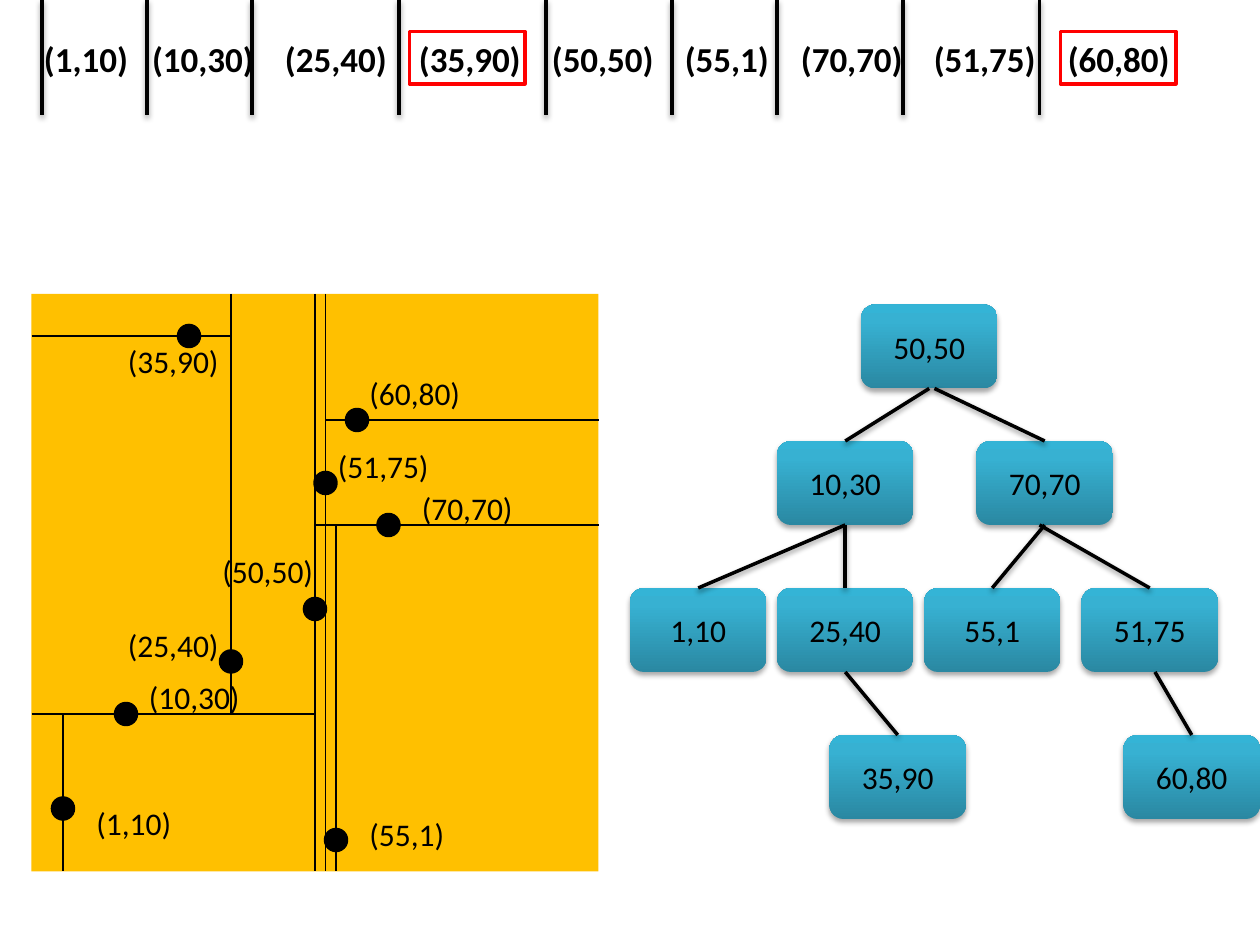
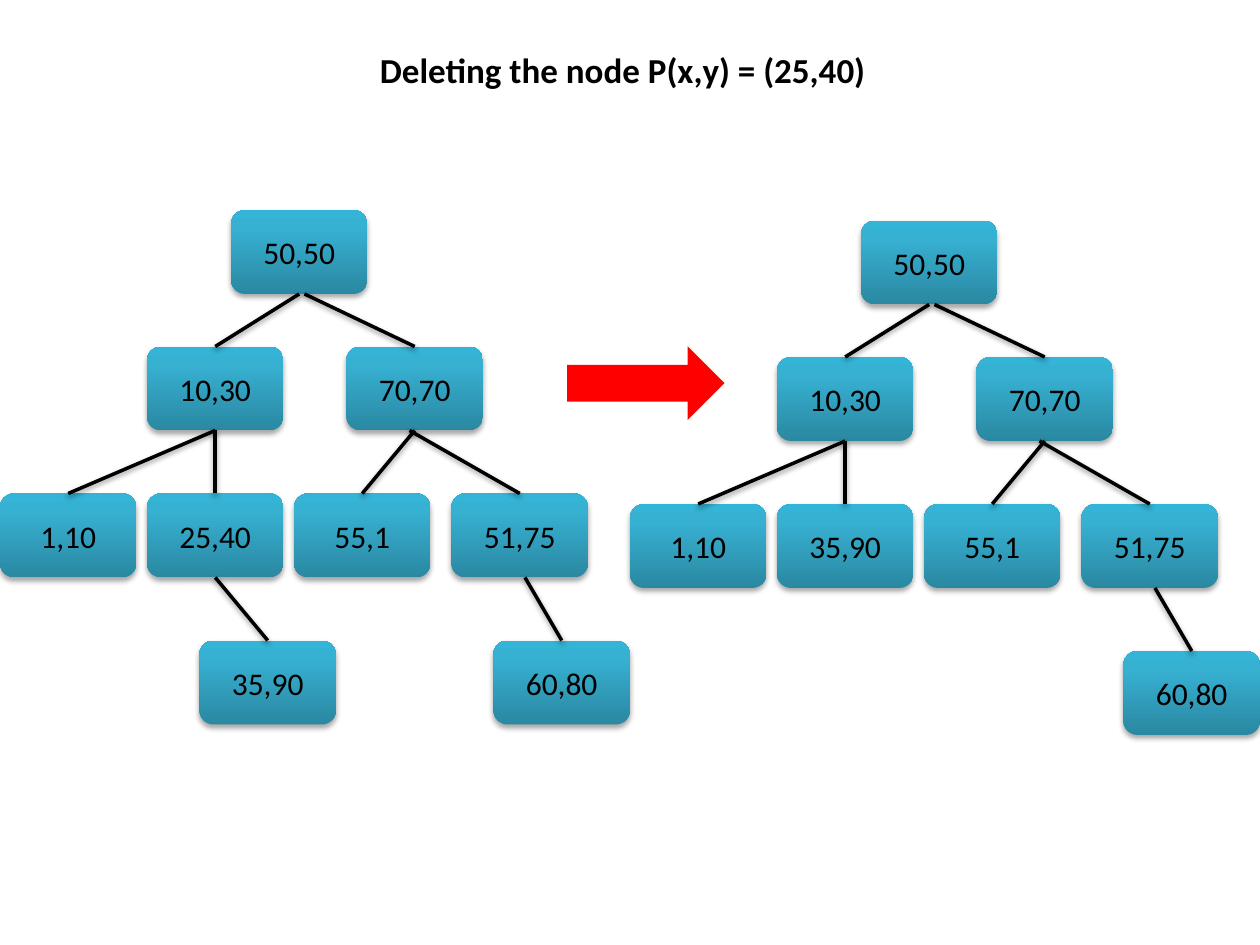
from lxml import etree
from pptx import Presentation
from pptx.dml.color import RGBColor
from pptx.enum.shapes import MSO_CONNECTOR, MSO_SHAPE
from pptx.enum.text import MSO_ANCHOR, MSO_AUTO_SIZE, PP_ALIGN
from pptx.oxml import parse_xml
from pptx.oxml.ns import nsdecls, qn
from pptx.util import Cm, Pt

RECT, ROUND_RECT = MSO_SHAPE.RECTANGLE, MSO_SHAPE.ROUNDED_RECTANGLE
OVAL, RIGHT_ARROW = MSO_SHAPE.OVAL, MSO_SHAPE.RIGHT_ARROW
STRAIGHT = MSO_CONNECTOR.STRAIGHT
MIDDLE, CENTER = MSO_ANCHOR.MIDDLE, PP_ALIGN.CENTER
FIT_SHAPE = MSO_AUTO_SIZE.SHAPE_TO_FIT_TEXT
BOTTOM_SIDE, TOP_SIDE = 2, 0

COLORS = {
    "ink": "000000", "accent": "FF0000", "map": "FFC000",
    "node_dark": "2A88A2", "node_mid": "37B1D2", "node_light": "34B4D6",
}
FONTS = {
    "heading": {"name": "Calibri", "size": Pt(20), "bold": True},
    "label": {"name": "Calibri", "size": Pt(18), "bold": False},
}

# Everything sits on a grid of 120 x 90 cells
CELL_CM = 2.54 / 12

# Point: dot centre, label corner, direction and extent of its split line,
# all in cells from the corner of the map
POINTS = {
    "50,50": ((27, 30), (17, 24), "vertical", (0, 55)),
    "10,30": ((9, 40), (10, 36), "horizontal", (0, 27)),
    "70,70": ((34, 22), (36, 18), "horizontal", (27, 54)),
    "1,10": ((3, 49), (5, 48), "vertical", (40, 55)),
    "55,1": ((29, 52), (31, 49), "vertical", (22, 55)),
    "25,40": ((19, 35), (8, 31), "vertical", (0, 40)),
    "51,75": ((28, 18), (28, 14), "vertical", (0, 55)),
    "35,90": ((15, 4), (8, 4), "horizontal", (0, 19)),
    "60,80": ((31, 12), (31, 7), "horizontal", (28, 54)),
}
SORTED_POINTS = ["1,10", "10,30", "25,40", "35,90", "50,50",
                 "55,1", "70,70", "51,75", "60,80"]
POINT_TABS_CM = [2.18, 4.86, 7.56, 10.24, 12.92, 15.26, 17.94, 20.64]
DIVIDERS = [4, 14, 24, 38, 52, 64, 74, 86, 99]

# Tree places in cells from its corner; L and R are the turns from the root
NODE_W, NODE_H = 13, 8
TREE_PLACES = {
    "root": (22, 0), "L": (14, 13), "R": (33, 13),
    "LL": (0, 27), "LR": (14, 27), "RL": (28, 27), "RR": (43, 27),
    "LRR": (19, 41), "RRR": (47, 41),
}
# Parent, child, sideways shift of the start in cells
TREE_EDGES = [
    ("root", "L", 0), ("root", "R", 0.5), ("L", "LL", 0), ("L", "LR", 0),
    ("R", "RL", 0), ("R", "RR", -0.5), ("LR", "LRR", 0), ("RR", "RRR", 0.5),
]
FULL_TREE = {
    "root": "50,50", "L": "10,30", "R": "70,70", "LL": "1,10", "LR": "25,40",
    "RL": "55,1", "RR": "51,75", "LRR": "35,90", "RRR": "60,80",
}
REDUCED_TREE = {place: point for place, point in FULL_TREE.items() if place != "LRR"}
REDUCED_TREE["LR"] = FULL_TREE["LRR"]


def cells(*counts):
    return [Cm(count * CELL_CM) for count in counts]


def color(key):
    return RGBColor.from_string(COLORS[key])


def write(paragraph, text, style):
    run = paragraph.add_run()
    run.text = text
    for attribute, value in FONTS[style].items():
        setattr(run.font, attribute, value)
    run.font.color.rgb = color("ink")


def add_text(slide, box, text, style, tabs_cm=()):
    frame = slide.shapes.add_textbox(*cells(*box)).text_frame
    for attribute, value in {"word_wrap": True, "auto_size": FIT_SHAPE}.items():
        setattr(frame, attribute, value)
    paragraph = frame.paragraphs[0]
    if tabs_cm:
        stops = etree.SubElement(paragraph._p.get_or_add_pPr(), qn("a:tabLst"))
        for stop_cm in tabs_cm:
            etree.SubElement(stops, qn("a:tab"), pos=str(Cm(stop_cm)), algn="l")
    write(paragraph, text, style)


def add_shadow(effects, alpha, distance):
    effects.append(parse_xml(
        f'<a:outerShdw {nsdecls("a")} blurRad="40000" dist="{distance}" dir="5400000" '
        f'rotWithShape="0"><a:srgbClr val="{COLORS["ink"]}">'
        f'<a:alpha val="{alpha}"/></a:srgbClr></a:outerShdw>'))


def add_figure(slide, kind, box, fill=None, line=None):
    figure = slide.shapes.add_shape(kind, *cells(*box))
    figure.shadow.inherit = False
    if fill:
        figure.fill.solid()
        figure.fill.fore_color.rgb = color(fill)
    else:
        figure.fill.background()
    if line:
        figure.line.color.rgb = color(line)
        figure.line.width = Pt(2)
    else:
        figure.line.fill.background()
    return figure


def add_line(slide, start, end, width=2, shadow=True):
    line = slide.shapes.add_connector(STRAIGHT, *cells(*start, *end))
    line.line.color.rgb = color("ink")
    line.line.width = Pt(width)
    effects = etree.SubElement(line._element.spPr, qn("a:effectLst"))
    if shadow:
        add_shadow(effects, 38000, 20000)
    return line


def add_node(slide, left, top, point):
    node = slide.shapes.add_shape(ROUND_RECT, *cells(left, top, NODE_W, NODE_H))
    # Vertical gradient, dark at the bottom
    stops = "".join(
        f'<a:gs pos="{position}"><a:srgbClr val="{COLORS[key]}"/></a:gs>'
        for position, key in ((0, "node_dark"), (80000, "node_mid"), (100000, "node_light")))
    properties = node._element.spPr
    properties.find(qn("a:prstGeom")).addnext(parse_xml(
        f'<a:gradFill {nsdecls("a")} rotWithShape="1"><a:gsLst>{stops}</a:gsLst>'
        '<a:lin ang="16200000" scaled="0"/></a:gradFill>'))
    node.line.fill.background()
    node.shadow.inherit = False
    add_shadow(properties.find(qn("a:effectLst")), 35000, 23000)
    # Point in the node
    node.text_frame.vertical_anchor = MIDDLE
    paragraph = node.text_frame.paragraphs[0]
    paragraph.alignment = CENTER
    write(paragraph, point, "label")
    return node


def add_tree(slide, corner, points):
    left, top = corner
    nodes = {}
    for place, point in points.items():
        x, y = TREE_PLACES[place]
        nodes[place] = add_node(slide, left + x, top + y, point)
    for parent, child, shift in TREE_EDGES:
        if child not in nodes:
            continue
        (parent_x, parent_y), (child_x, child_y) = TREE_PLACES[parent], TREE_PLACES[child]
        start = (left + parent_x + NODE_W / 2 + shift, top + parent_y + NODE_H)
        end = (left + child_x + NODE_W / 2, top + child_y)
        edge = add_line(slide, start, end)
        if not shift:
            edge.begin_connect(nodes[parent], BOTTOM_SIDE)
        edge.end_connect(nodes[child], TOP_SIDE)


def add_point_list(slide, box):
    left, top, width, height = box
    listing = "\t".join(f"({point})" for point in SORTED_POINTS)
    add_text(slide, box, listing, "heading", POINT_TABS_CM)
    # Frames around the highlighted points
    for frame_x in (36, 98):
        add_figure(slide, RECT, (left + frame_x, top, 11, 5), line="accent")
    for x in DIVIDERS:
        add_line(slide, (x, 0), (x, 11))


def add_map(slide, box):
    left, top, width, height = box
    add_figure(slide, RECT, box, fill="map")
    # Split lines through the points
    for (x, y), _, direction, (first, last) in POINTS.values():
        if direction == "vertical":
            start, end = (left + x, top + first), (left + x, top + last)
        else:
            start, end = (left + first, top + y), (left + last, top + y)
        add_line(slide, start, end, width=0.75, shadow=False)
    # Dots and labels
    for point, ((x, y), (label_x, label_y), _, _) in POINTS.items():
        add_figure(slide, OVAL, (left + x - 1, top + y - 1, 2, 2), fill="ink", line="ink")
        add_text(slide, (left + label_x, top + label_y, 13, 4.85), f"({point})", "label")


def build_partition_slide(slide):
    add_point_list(slide, (3, 3, 110, 9.25))
    add_map(slide, (3, 28, 54, 55))
    add_tree(slide, (60, 29), FULL_TREE)


def build_deletion_slide(slide):
    add_figure(slide, RIGHT_ARROW, (54, 33, 15, 7), fill="accent")
    add_text(slide, (35, 4, 50, 5.25), "Deleting the node P(x,y) = (25,40)", "heading")
    add_tree(slide, (0, 20), FULL_TREE)
    add_tree(slide, (60, 21), REDUCED_TREE)


def main():
    deck = Presentation()
    deck.slide_width, deck.slide_height = cells(120, 90)
    blank = deck.slide_layouts[6]
    for build in (build_partition_slide, build_deletion_slide):
        build(deck.slides.add_slide(blank))
    deck.save("out.pptx")


if __name__ == "__main__":
    main()
